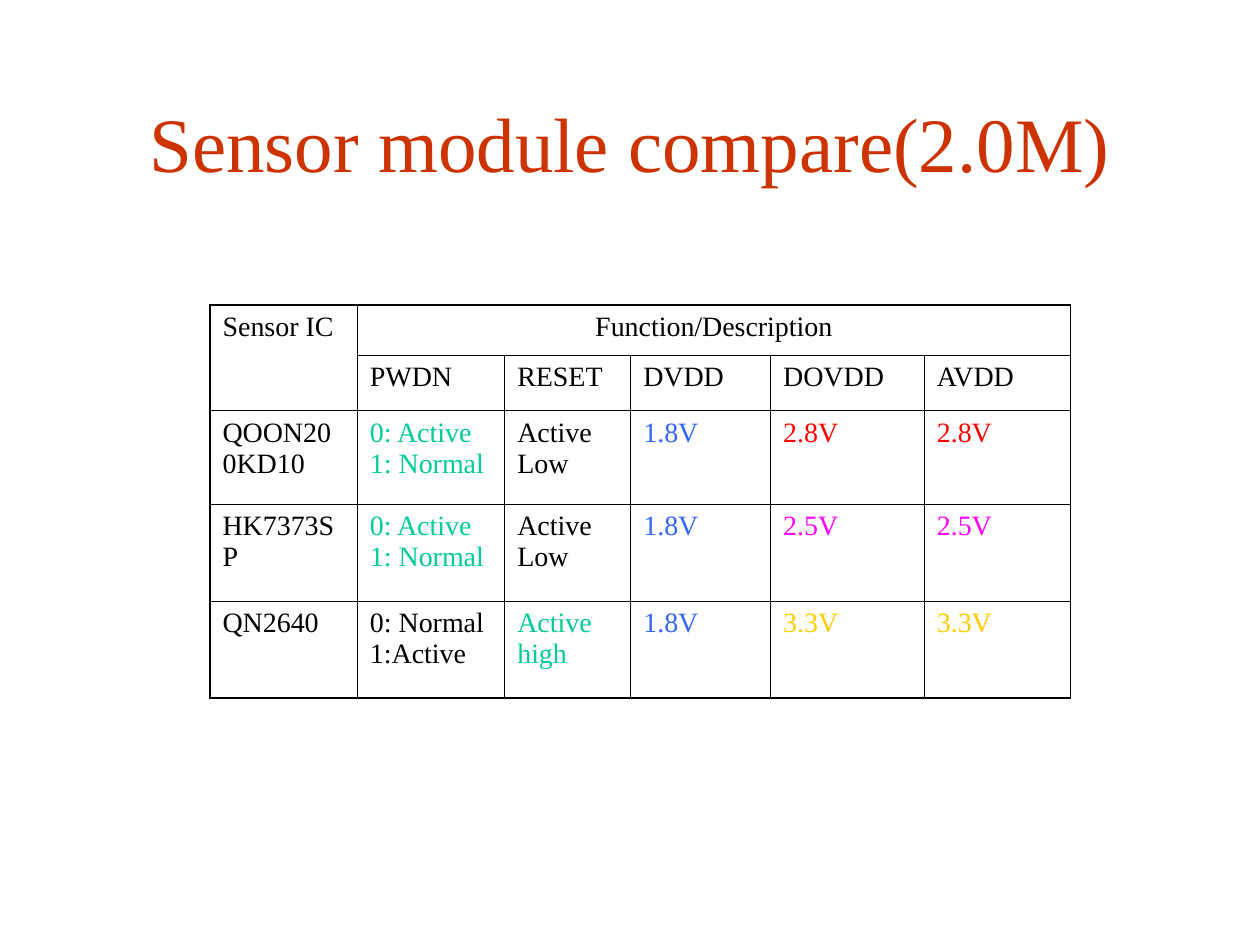
import pptx
import pptx.util
import pptx.dml.color
import pptx.enum.text
import lxml.etree
from pptx.oxml.ns import qn

FONT = "Times New Roman"
WIDE, HIGH = 10, 7.5
COLS = [1.17, 1.17, 1, 1.11, 1.22, 1.16]
ROWS = [0.4, 0.44, 0.74, 0.77, 0.77]
THIN, THICK = 0.45, 1.08
BLACK, GREEN, BLUE = "000000", "00CC99", "3366FF"
RED, PINK, GOLD = "FF0000", "FF00FF", "FFCC00"
ALIGN = pptx.enum.text.PP_ALIGN

HEADS = ["PWDN", "RESET", "DVDD", "DOVDD", "AVDD"]
# Name, power-down, reset, core volts, other volts: each with its colour
PARTS = [
    [("QOON200KD10", BLACK), ("0: Active 1: Normal", GREEN),
     ("Active Low", BLACK), ("1.8V", BLUE), ("2.8V", RED)],
    [("HK7373SP", BLACK), ("0: Active 1: Normal", GREEN),
     ("Active Low", BLACK), ("1.8V", BLUE), ("2.5V", PINK)],
    [("QN2640", BLACK), ("0: Normal 1:Active", BLACK),
     ("Active high", GREEN), ("1.8V", BLUE), ("3.3V", GOLD)],
]


def inch(size):
    return pptx.util.Inches(size)


def rgb(code):
    return pptx.dml.color.RGBColor.from_string(code)


def write(frame, text, size, color, align=ALIGN.LEFT, before=0):
    """Put one run of text in the first paragraph of a frame."""
    frame.word_wrap = True
    para = frame.paragraphs[0]
    para.alignment = align
    para.space_before = pptx.util.Pt(before)
    run = para.add_run()
    run.text = text
    run.font.name = FONT
    run.font.size = pptx.util.Pt(size)
    run.font.color.rgb = rgb(color)


def add_title(slide, text):
    box = slide.shapes.add_textbox(
        inch(0.075 * WIDE), inch(HIGH / 15), inch(0.85 * WIDE), inch(HIGH / 6))
    box.text_frame.vertical_anchor = pptx.enum.text.MSO_ANCHOR.MIDDLE
    write(box.text_frame, text, 44, "CC3300", ALIGN.CENTER)


def rule(cell, row, col):
    """Draw the cell's borders, thick along the outer edge of the table."""
    outer = {
        "L": col == 0,
        "R": col + cell.span_width == len(COLS),
        "T": row == 0,
        "B": row + cell.span_height == len(ROWS),
    }
    props = cell._tc.get_or_add_tcPr()
    for side, edge in outer.items():
        line = lxml.etree.SubElement(props, qn("a:ln" + side))
        line.set("w", str(pptx.util.Pt(THICK if edge else THIN)))
        fill = lxml.etree.SubElement(line, qn("a:solidFill"))
        lxml.etree.SubElement(fill, qn("a:srgbClr")).set("val", BLACK)


def add_grid(slide):
    """Add the empty table with its sizes, merged heads and borders."""
    table = slide.shapes.add_table(
        len(ROWS), len(COLS), inch(WIDE / 6), inch(2.42),
        inch(sum(COLS)), inch(sum(ROWS))).table
    table.first_row = table.horz_banding = False
    for col, width in zip(table.columns, COLS):
        col.width = inch(width)
    for row, height in zip(table.rows, ROWS):
        row.height = inch(height)
    table.cell(0, 0).merge(table.cell(1, 0))
    table.cell(0, 1).merge(table.cell(0, len(COLS) - 1))
    for row in range(len(ROWS)):
        for col in range(len(COLS)):
            cell = table.cell(row, col)
            rule(cell, row, col)
            cell.fill.background()
    return table


def fill_grid(table):
    def put(row, col, text, color=BLACK, align=ALIGN.LEFT):
        write(table.cell(row, col).text_frame, text, 16, color, align, 4)

    put(0, 0, "Sensor IC")
    put(0, 1, "Function/Description", align=ALIGN.CENTER)
    for col, text in enumerate(HEADS, 1):
        put(1, col, text)
    for row, part in enumerate(PARTS, 2):
        # Both last columns hold the same voltage
        for col, (text, color) in enumerate(part + part[-1:]):
            put(row, col, text, color)


def main():
    deck = pptx.Presentation()
    deck.slide_width, deck.slide_height = inch(WIDE), inch(HIGH)
    slide = deck.slides.add_slide(deck.slide_layouts[6])
    add_title(slide, "Sensor module compare(2.0M)")
    fill_grid(add_grid(slide))
    deck.save("out.pptx")


if __name__ == "__main__":
    main()
